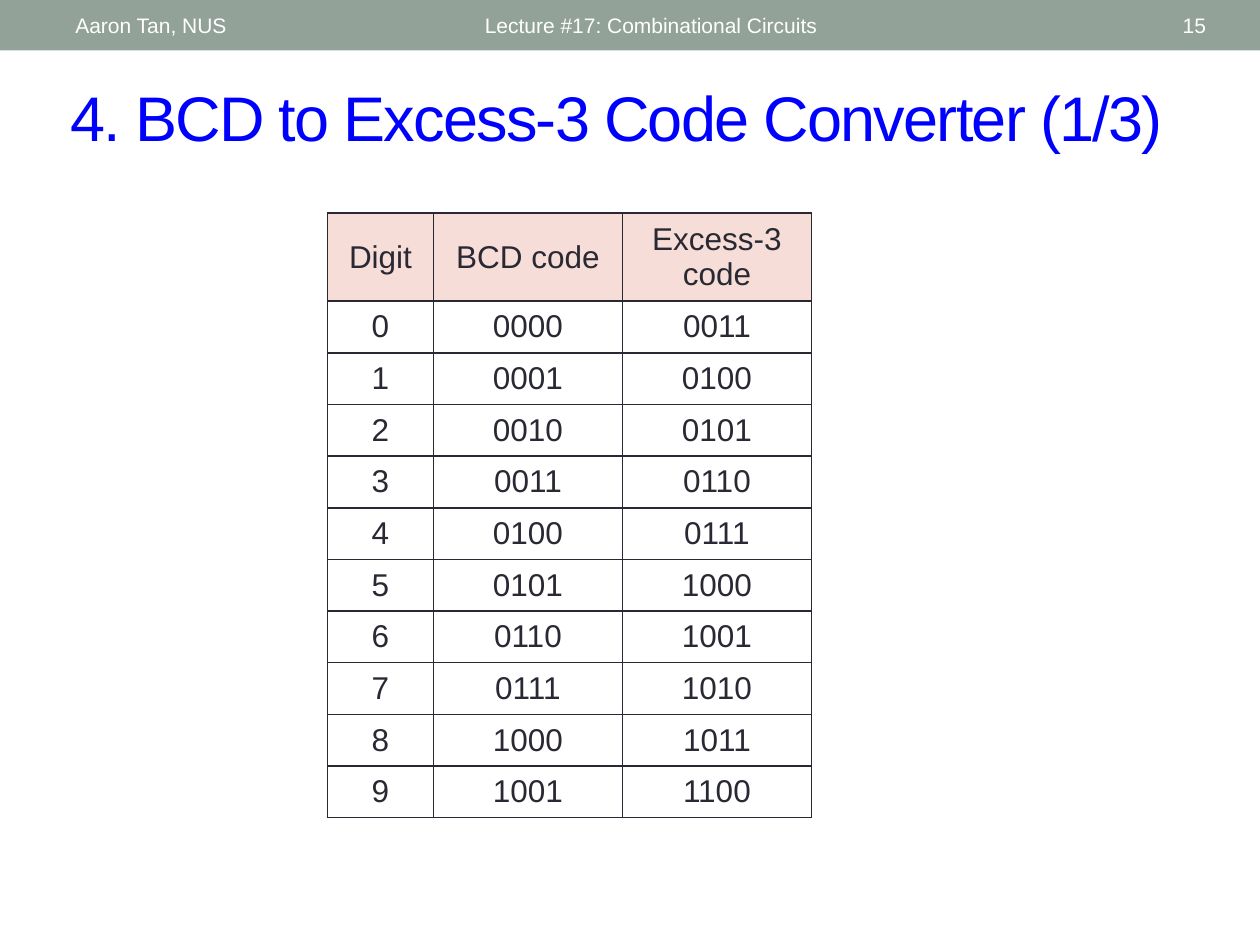
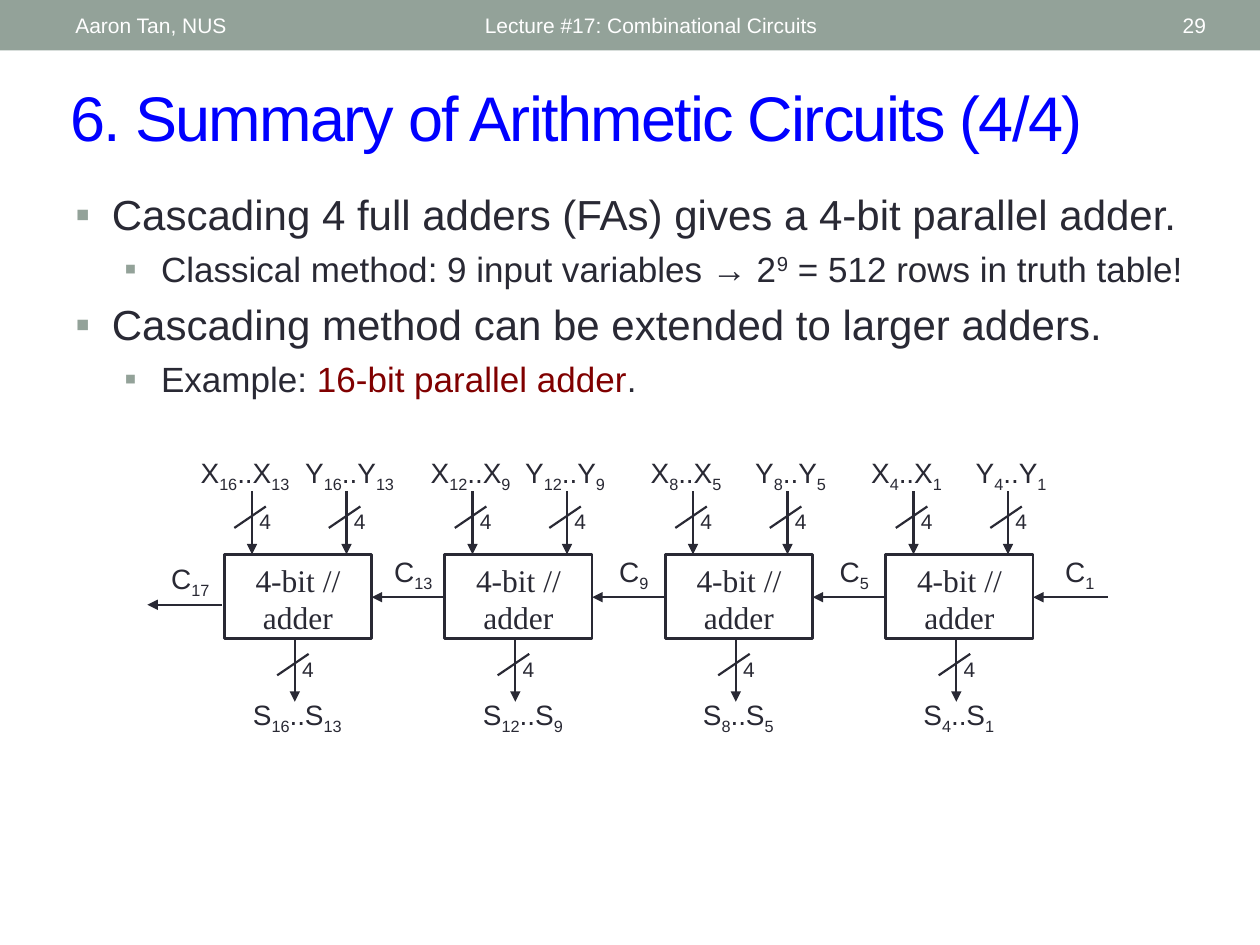
"""Two lecture slides on combinational circuits: a code table and a cascaded adder."""
from dataclasses import dataclass

from lxml import etree
from pptx import Presentation
from pptx import util as u
from pptx.dml.color import RGBColor
from pptx.enum import shapes, text
from pptx.oxml import ns

COLORS = {
    "band": "93A299", "title": "0000FF", "ink": "292934", "white": "FFFFFF",
    "header": "F6DDD8", "accent": "800000",
}
SANS, SERIF = "Arial", "Times New Roman"
LEFT, CENTER, RIGHT = text.PP_ALIGN.LEFT, text.PP_ALIGN.CENTER, text.PP_ALIGN.RIGHT
TOP, MIDDLE = text.MSO_ANCHOR.TOP, text.MSO_ANCHOR.MIDDLE
SUBSCRIPT, SUPERSCRIPT = -25, 30
BAND_HEIGHT = 0.4
ADDER_LEFT, ADDER_TOP, ADDER_STEP = 1.78, 4.4, 1.75
ADDER_WIDTH, ADDER_HEIGHT = 1.17, 0.67
BUS_LENGTH = 0.5


@dataclass
class Adder:
    """Bit range of one adder and the offsets of its labels."""
    high: int
    low: int
    input_spread: float = 0.83
    sum_center: float = 0.58
    carry_left: float = 1.21


ADDERS = [
    Adder(16, 13),
    Adder(12, 9, input_spread=0.75, sum_center=0.62),
    Adder(8, 5),
    Adder(4, 1, carry_left=1.25),
]
BULLETS = [
    (0, [("Cascading 4 full adders (FAs) gives a 4-bit parallel adder.", {})]),
    (1, [("Classical method: 9 input variables → 2", {}), ("9", {"baseline": SUPERSCRIPT}),
         (" = 512 rows in truth table!", {})]),
    (0, [("Cascading method can be extended to larger adders.", {})]),
    (1, [("Example: ", {}), ("16-bit parallel adder", {"color": "accent"}), (".", {})]),
]
BULLET_LEVELS = [
    {"size": 24, "margin": 0.29, "before": 5.5},
    {"size": 20, "margin": 0.68, "before": 4.6},
]


def rgb(name):
    """Return a named colour."""
    return RGBColor.from_string(COLORS[name])


def inches(*lengths):
    """Convert several lengths in inches."""
    return [u.Inches(length) for length in lengths]


def style(paragraph, size, color="ink", font=SANS, align=LEFT):
    """Format a whole paragraph."""
    paragraph.alignment = align
    paragraph.font.size = u.Pt(size)
    paragraph.font.name = font
    paragraph.font.color.rgb = rgb(color)


def add_run(paragraph, wording, baseline=0, color=None):
    """Add a run, raised or lowered by a percentage if asked."""
    run = paragraph.add_run()
    run.text = wording
    if color:
        run.font.color.rgb = rgb(color)
    if baseline:
        run._r.get_or_add_rPr().set("baseline", str(baseline * 1000))


def add_text_box(slide, box, anchor=TOP):
    """Add a wrapping text box and return its frame."""
    frame = slide.shapes.add_textbox(*inches(*box)).text_frame
    frame.word_wrap = True
    frame.vertical_anchor = anchor
    return frame


def add_text(slide, box, wording, size, color="ink", align=LEFT, anchor=TOP):
    """Add one line of evenly formatted text."""
    paragraph = add_text_box(slide, box, anchor).paragraphs[0]
    paragraph.text = wording
    style(paragraph, size, color, align=align)


def add_rectangle(slide, box, fill=None, line=None):
    """Add a flat rectangle with an optional fill and outline."""
    shape = slide.shapes.add_shape(shapes.MSO_SHAPE.RECTANGLE, *inches(*box))
    shape.shadow.inherit = False
    shape.fill.background()
    shape.line.fill.background()
    if fill:
        shape.fill.solid()
        shape.fill.fore_color.rgb = rgb(fill)
    if line:
        shape.line.color.rgb = rgb(line)
        shape.line.width = u.Pt(1.5)
    return shape


def add_line(slide, start, end, arrow=False):
    """Add a straight line, with an arrowhead at its end if asked."""
    line = slide.shapes.add_connector(shapes.MSO_CONNECTOR.STRAIGHT, *inches(*start, *end))
    line.line.color.rgb = rgb("ink")
    line.line.width = u.Pt(1.25)
    if arrow:
        etree.SubElement(line.line._get_or_add_ln(), ns.qn("a:tailEnd"), type="triangle")
    etree.SubElement(line._element.spPr, ns.qn("a:effectLst"))


def add_lecture_slide(presentation, title, number):
    """Add a slide with the header band, its three texts and a title."""
    slide = presentation.slides.add_slide(presentation.slide_layouts[5])
    add_rectangle(slide, (0, 0, 10, BAND_HEIGHT), fill="band")
    for left, width, wording, align in [
        (0.5, 3.17, "Aaron Tan, NUS", LEFT),
        (3.75, 4.5, "Lecture #17: Combinational Circuits", LEFT),
        (8.72, 0.95, str(number), RIGHT),
    ]:
        add_text(slide, (left, 0.02, width, 0.36), wording, 12, "white", align, MIDDLE)
    holder = slide.shapes.title
    holder.left, holder.top, holder.width, holder.height = inches(0.46, 0.57, 9.21, 0.7)
    frame = holder.text_frame
    frame.auto_size = text.MSO_AUTO_SIZE.NONE
    frame.vertical_anchor = MIDDLE
    paragraph = frame.paragraphs[0]
    add_run(paragraph, title)
    paragraph.runs[0]._r.get_or_add_rPr().set("spc", "-100")
    style(paragraph, 36, "title")
    return slide


def add_cell_borders(cell):
    """Outline a cell on all four sides."""
    properties = cell._tc.get_or_add_tcPr()
    for side in ("lnL", "lnR", "lnT", "lnB"):
        border = etree.SubElement(properties, ns.qn(f"a:{side}"), w=str(u.Pt(1)))
        fill = etree.SubElement(border, ns.qn("a:solidFill"))
        etree.SubElement(fill, ns.qn("a:srgbClr"), val=COLORS["ink"])


def add_code_table(slide):
    """Tabulate each decimal digit with its BCD and Excess-3 codes."""
    rows = [("Digit", "BCD code", "Excess-3 code")]
    rows += [(str(digit), f"{digit:04b}", f"{digit + 3:04b}") for digit in range(10)]
    table = slide.shapes.add_table(len(rows), 3, *inches(2.6, 1.69, 3.84, 4.76)).table
    table.first_row = table.horz_banding = False
    for column, width in zip(table.columns, (0.84, 1.5, 1.5)):
        column.width = u.Inches(width)
    for index, wordings in enumerate(rows):
        table.rows[index].height = u.Inches(0.41 if index else 0.66)
        for cell, wording in zip(table.rows[index].cells, wordings):
            cell.text = wording
            cell.vertical_anchor = MIDDLE
            style(cell.text_frame.paragraphs[0], 18, align=CENTER)
            add_cell_borders(cell)
            if index:
                cell.fill.background()
            else:
                cell.fill.solid()
                cell.fill.fore_color.rgb = rgb("header")


def add_bullets(slide):
    """Add the two-level bulleted text."""
    frame = add_text_box(slide, (0.5, 1.45, 9, 2.12))
    for index, (level, runs) in enumerate(BULLETS):
        look = BULLET_LEVELS[level]
        paragraph = frame.add_paragraph() if index else frame.paragraphs[0]
        paragraph.level = level
        properties = paragraph._p.get_or_add_pPr()
        properties.set("marL", str(u.Inches(look["margin"])))
        properties.set("indent", str(u.Inches(-0.29)))
        if index:
            paragraph.space_before = u.Pt(look["before"])
        bullet_color = etree.SubElement(properties, ns.qn("a:buClr"))
        etree.SubElement(bullet_color, ns.qn("a:srgbClr"), val=COLORS["band"])
        etree.SubElement(properties, ns.qn("a:buFont"), typeface=SANS)
        etree.SubElement(properties, ns.qn("a:buChar"), char="▪")
        for wording, options in runs:
            add_run(paragraph, wording, **options)
        style(paragraph, look["size"])


def add_signal(slide, box, *parts):
    """Add a signal name whose every second part is a subscript."""
    paragraph = add_text_box(slide, box).paragraphs[0]
    for index, part in enumerate(parts):
        add_run(paragraph, str(part), SUBSCRIPT if index % 2 else 0)
    style(paragraph, 16, align=CENTER)


def add_signal_range(slide, center, top, letter, adder):
    """Name the bits of a bus, from high to low, around a centre."""
    width = 0.66 + 0.085 * len(f"{adder.high}{adder.low}")
    box = (center - width / 2, top, width, 0.37)
    add_signal(slide, box, letter, adder.high, f"..{letter}", adder.low)


def add_bus(slide, x, top):
    """Add a downward four-bit bus with its slash and width."""
    add_line(slide, (x, top), (x, top + BUS_LENGTH), arrow=True)
    add_line(slide, (x + 0.11, top + 0.12), (x - 0.14, top + 0.29))
    add_text(slide, (x - 0.06, top + 0.09, 0.33, 0.3), "4", 12, align=CENTER)


def add_carry(slide, left, y, label_left, bit):
    """Add a carry arrow pointing left under its name."""
    add_line(slide, (left + 0.59, y), (left, y), arrow=True)
    add_signal(slide, (label_left, y - 0.39, 0.58, 0.37), "C", bit)


def add_adder(slide, left, adder):
    """Add one adder with its inputs, sum and carry in."""
    box = (left, ADDER_TOP, ADDER_WIDTH, ADDER_HEIGHT)
    frame = add_rectangle(slide, box, line="ink").text_frame
    frame.word_wrap = True
    frame.vertical_anchor = TOP
    frame.paragraphs[0].text = "4-bit // adder"
    style(frame.paragraphs[0], 18, font=SERIF, align=CENTER)
    for letter, bus, side in (("X", 0.22, -0.5), ("Y", 0.97, 0.5)):
        center = left + 0.58 + side * adder.input_spread
        add_signal_range(slide, center, 3.57, letter, adder)
        add_bus(slide, left + bus, ADDER_TOP - BUS_LENGTH)
    add_bus(slide, left + 0.56, ADDER_TOP + ADDER_HEIGHT)
    add_signal_range(slide, left + adder.sum_center, 5.49, "S", adder)
    add_carry(slide, left + ADDER_WIDTH, 4.74, left + adder.carry_left, adder.low)


def main():
    """Build and save the presentation."""
    presentation = Presentation()
    presentation.slide_width, presentation.slide_height = inches(10, 7.5)

    slide = add_lecture_slide(presentation, "4. BCD to Excess-3 Code Converter (1/3)", 15)
    add_code_table(slide)

    slide = add_lecture_slide(presentation, "6. Summary of Arithmetic Circuits (4/4)", 29)
    add_bullets(slide)
    for index, adder in enumerate(ADDERS):
        add_adder(slide, ADDER_LEFT + index * ADDER_STEP, adder)
    add_carry(slide, 1.17, 4.8, 1.22, ADDERS[0].high + 1)

    presentation.save("out.pptx")


if __name__ == "__main__":
    main()
